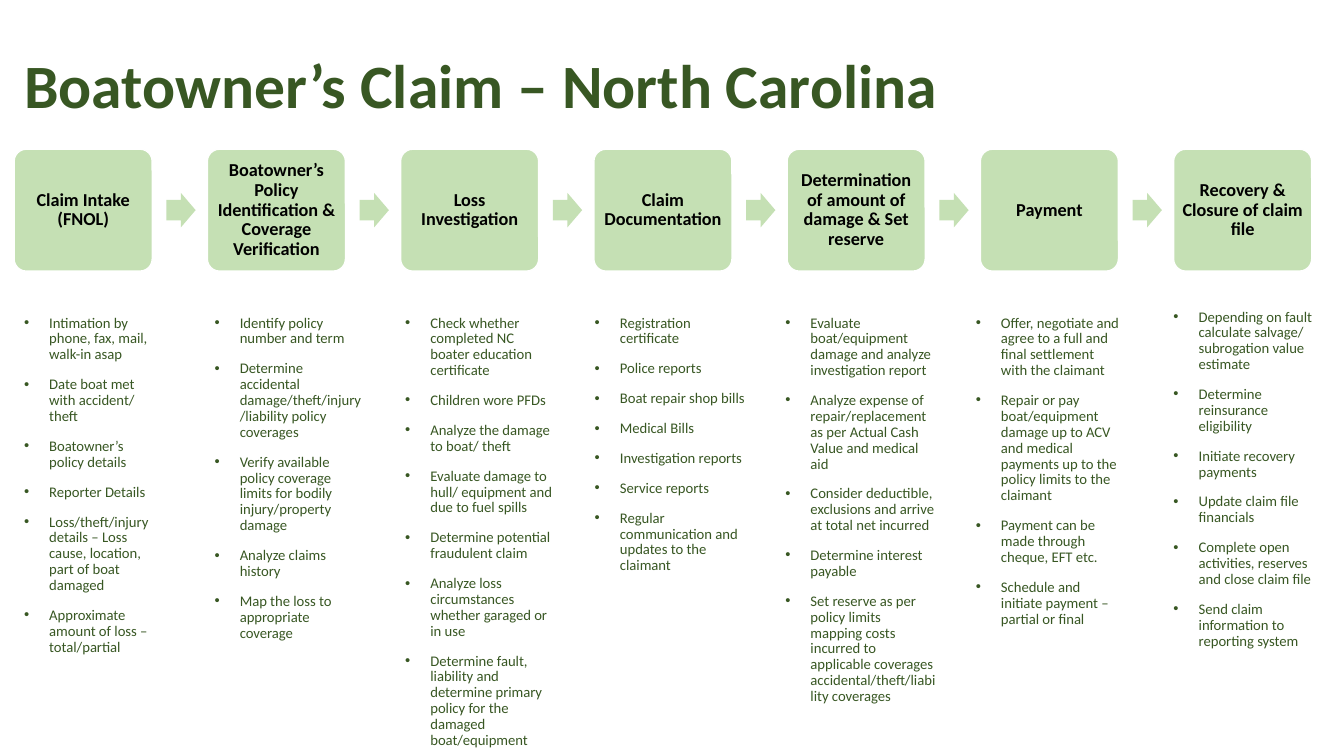
from dataclasses import dataclass

from pptx import Presentation
from pptx.dml.color import RGBColor
from pptx.enum.shapes import MSO_SHAPE as Preset
from pptx.enum.text import MSO_ANCHOR as Anchor, MSO_AUTO_SIZE as AutoSize, PP_ALIGN as Align
from pptx.oxml.ns import qn
from pptx.util import Inches, Pt

TITLE = "Boatowner’s Claim – North Carolina"

# stage name, (left, top, width, height) of its list, list items
STAGES = [
    ("Claim Intake (FNOL)", (0.14, 3.08, 1.54, 2.82), [
        "Intimation by phone, fax, mail, walk-in asap",
        "Date boat met with accident/ theft",
        "Boatowner’s policy details",
        "Reporter Details",
        "Loss/theft/injury details – Loss cause, location, part of boat damaged",
        "Approximate amount of loss – total/partial",
    ]),
    ("Boatowner’s Policy Identification & Coverage Verification", (2.03, 3.08, 1.69, 2.82), [
        "Identify policy number and term",
        "Determine accidental damage/theft/injury/liability policy coverages",
        "Verify available policy coverage limits for bodily injury/property damage",
        "Analyze claims history",
        "Map the loss to appropriate coverage",
    ]),
    ("Loss Investigation", (3.92, 3.08, 1.69, 3.87), [
        "Check whether completed NC boater education certificate",
        "Children wore PFDs",
        "Analyze the damage to boat/ theft",
        "Evaluate damage to hull/ equipment and due to fuel spills",
        "Determine potential fraudulent claim",
        "Analyze loss circumstances whether garaged or in use",
        "Determine fault, liability and determine primary policy for the damaged boat/equipment",
    ]),
    ("Claim Documentation", (5.8, 3.08, 1.69, 4), [
        "Registration certificate",
        "Police reports",
        "Boat repair shop bills",
        "Medical Bills",
        "Investigation reports",
        "Service reports",
        "Regular communication and updates to the claimant",
    ]),
    ("Determination of amount of damage & Set reserve", (7.69, 3.08, 1.69, 4), [
        "Evaluate boat/equipment damage and analyze investigation report",
        "Analyze expense of repair/replacement as per Actual Cash Value and medical aid",
        "Consider deductible, exclusions and arrive at total net incurred",
        "Determine interest payable",
        "Set reserve as per policy limits mapping costs incurred to applicable coverages "
        "accidental/theft/liability coverages",
    ]),
    ("Payment", (9.58, 3.08, 1.63, 4), [
        "Offer, negotiate and agree to a full and final settlement with the claimant",
        "Repair or pay boat/equipment damage up to ACV and medical payments up to the "
        "policy limits to the claimant",
        "Payment can be made through cheque, EFT etc.",
        "Schedule and initiate payment – partial or final",
    ]),
    ("Recovery & Closure of claim file", (11.54, 3.02, 1.69, 4), [
        "Depending on fault calculate salvage/ subrogation value estimate",
        "Determine reinsurance eligibility",
        "Initiate recovery payments",
        "Update claim file financials",
        "Complete open activities, reserves and close claim file",
        "Send claim information to reporting system",
    ]),
]


@dataclass(frozen=True)
class Theme:
    font: str = "Calibri"
    ink: RGBColor = RGBColor(0x38, 0x57, 0x23)
    card: RGBColor = RGBColor(0xC5, 0xE0, 0xB4)
    card_text: RGBColor = RGBColor(0, 0, 0)
    card_line: RGBColor = RGBColor(255, 255, 255)
    title_size: float = 44
    card_size: float = 13
    list_size: float = 10.5


THEME = Theme()
MARGIN = 0.14
CARD_TOP, CARD_WIDTH, CARD_HEIGHT = 1.48, 1.37, 1.21
LAST_CARD_LEFT = 11.64
CARD_PITCH = (LAST_CARD_LEFT - MARGIN) / (len(STAGES) - 1)
ARROW_GAP, ARROW_WIDTH, ARROW_HEIGHT = 0.14, 0.29, 0.34
LIST_INDENT = 0.25


def style(paragraph, size, color, bold=False):
    paragraph.line_spacing = 0.9
    font = paragraph.font
    font.name, font.size, font.bold = THEME.font, Pt(size), bold
    font.color.rgb = color


def add_filled(slide, preset, left, top, width, height, adjustments):
    shape = slide.shapes.add_shape(preset, *map(Inches, (left, top, width, height)))
    shape.shadow.inherit = False
    shape.fill.solid()
    shape.fill.fore_color.rgb = THEME.card
    shape.line.fill.background()
    for index, value in enumerate(adjustments):
        shape.adjustments[index] = value
    return shape


def add_title(slide):
    title = slide.shapes.title
    title.left, title.top, title.width, title.height = map(Inches, (MARGIN, 0.5, 11.86, 0.85))
    frame = title.text_frame
    frame.text = TITLE
    frame.auto_size = AutoSize.NONE
    frame.vertical_anchor = Anchor.TOP
    paragraph = frame.paragraphs[0]
    paragraph.alignment = Align.LEFT
    style(paragraph, THEME.title_size, THEME.ink, bold=True)


def add_card(slide, left, name):
    card = add_filled(slide, Preset.ROUNDED_RECTANGLE, left, CARD_TOP,
                      CARD_WIDTH, CARD_HEIGHT, [0.1])
    card.line.color.rgb = THEME.card_line
    card.line.width = Pt(1)
    frame = card.text_frame
    frame.text = name
    frame.word_wrap = True
    frame.vertical_anchor = Anchor.MIDDLE
    frame.margin_left = frame.margin_right = frame.margin_top = frame.margin_bottom = Inches(0.05)
    paragraph = frame.paragraphs[0]
    paragraph.alignment = Align.CENTER
    style(paragraph, THEME.card_size, THEME.card_text, bold=True)


def add_list(slide, box, items):
    frame = slide.shapes.add_textbox(*map(Inches, box)).text_frame
    frame.word_wrap = True
    for index, item in enumerate(items):
        paragraph = frame.add_paragraph() if index else frame.paragraphs[0]
        paragraph.text = item
        if index:
            paragraph.space_before = Pt(10)
        properties = paragraph._p.get_or_add_pPr()
        properties.set("marL", str(Inches(LIST_INDENT)))
        properties.set("indent", str(-Inches(LIST_INDENT)))
        bullet_font = properties.makeelement(qn("a:buFont"), {"typeface": "Arial"})
        bullet = properties.makeelement(qn("a:buChar"), {"char": "•"})
        properties.extend([bullet_font, bullet])
        style(paragraph, THEME.list_size, THEME.ink)


def main():
    presentation = Presentation()
    presentation.slide_width, presentation.slide_height = Inches(13.33), Inches(7.5)
    slide = presentation.slides.add_slide(presentation.slide_layouts.get_by_name("Title Only"))
    add_title(slide)
    arrow_top = CARD_TOP + (CARD_HEIGHT - ARROW_HEIGHT) / 2
    for index, (name, box, items) in enumerate(STAGES):
        left = MARGIN + index * CARD_PITCH
        if index:
            arrow_left = left - CARD_PITCH + CARD_WIDTH + ARROW_GAP
            add_filled(slide, Preset.RIGHT_ARROW, arrow_left, arrow_top,
                       ARROW_WIDTH, ARROW_HEIGHT, [0.6, 0.5])
        add_card(slide, left, name)
        add_list(slide, box, items)
    presentation.save("out.pptx")


if __name__ == "__main__":
    main()
